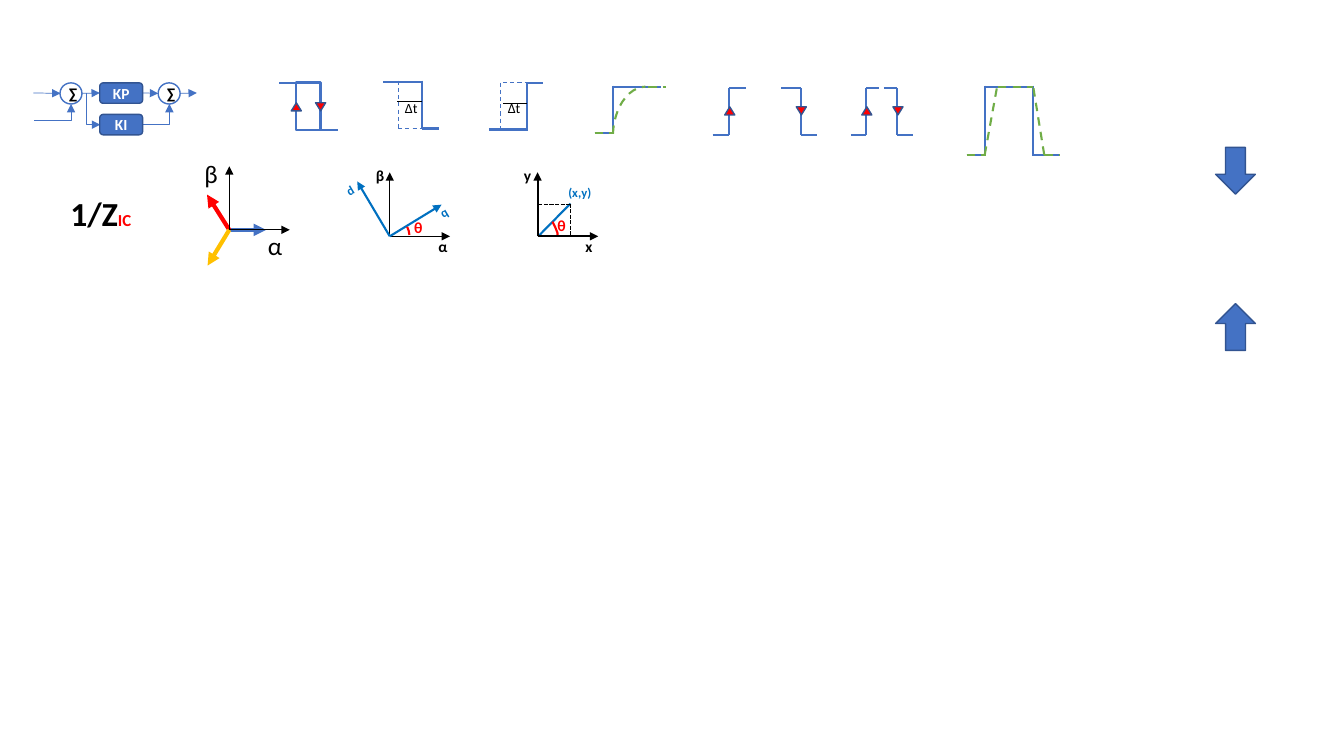
from lxml import etree
from pptx import Presentation
from pptx.dml.color import RGBColor
from pptx.enum import dml, shapes, text
from pptx.oxml import ns
from pptx.util import Pt

rgb = RGBColor.from_string
BLUE, OUTLINE, GREEN, RED, BLACK = "4472C4", "325491", "70AD47", "FF0000", "000000"
SKY, GOLD, WHITE = "0070C0", "FFC000", "FFFFFF"
DASH, SHORT_DASH = dml.MSO_LINE.DASH, dml.MSO_LINE.SQUARE_DOT
SHAPE, CONNECTOR = shapes.MSO_SHAPE, shapes.MSO_CONNECTOR

presentation = Presentation()
presentation.slide_width, presentation.slide_height = Pt(960), Pt(540)
slide = presentation.slides.add_slide(presentation.slide_layouts[6])
canvas = slide.shapes


def add_line(parent, ends, color=BLUE, width=1.5, dash=None, arrow=False, kind=CONNECTOR.STRAIGHT):
    connector = parent.add_connector(kind, *[Pt(value) for value in ends])
    connector.line.color.rgb = rgb(color)
    connector.line.width = Pt(width)
    if dash:
        connector.line.dash_style = dash
    properties = connector._element.spPr
    if arrow:
        etree.SubElement(properties.find(ns.qn("a:ln")), ns.qn("a:tailEnd"), type="triangle")
    etree.SubElement(properties, ns.qn("a:effectLst"))
    return connector


def add_label(parent, content, box, size, color=BLACK, bold=True, wrap=False, rotation=0):
    label = parent.add_textbox(*[Pt(value) for value in box])
    label.rotation = rotation
    label.text_frame.word_wrap = wrap
    label.text_frame.auto_size = text.MSO_AUTO_SIZE.SHAPE_TO_FIT_TEXT
    label.text_frame.text = content
    font = label.text_frame.paragraphs[0].runs[0].font
    font.name, font.size, font.bold = "Calibri", Pt(size), bold
    font.color.rgb = rgb(color)
    return label


# Edge symbols: left end, edge, right end, rising
edges = [
    (509, 520.8, 532.8, True),
    (558, 571.9, 583.9, False),
    (607.7, 618.7, 627.8, True),
    (631.4, 640.9, 652.3, False),
]
triangles = [(211.7, 73.4, 0), (229, 73.4, 180)]
for left, edge, right, rising in edges:
    start, end = (96.2, 63) if rising else (63, 96.2)
    add_line(canvas, (left, start, edge, start))
    add_line(canvas, (edge, end, right, end))
    add_line(canvas, (edge, 63, edge, 96.2))
    triangles.append((edge + 0.5, 76.3, 0 if rising else 180))

# Hysteresis loop
loop = canvas.add_shape(SHAPE.RECTANGLE, Pt(211.7), Pt(59), Pt(17.3), Pt(33.8))
loop.fill.background()
loop.line.color.rgb = rgb(BLUE)
loop.line.width = Pt(1.5)
loop.shadow.inherit = False
add_line(canvas, (199.4, 59, 211.7, 59))
add_line(canvas, (229, 92.9, 241.2, 92.9))

# Delay, lag and ramp waveforms
waveforms = [
    (BLUE, 1.5, None, [
        (273.6, 58.3, 301.7, 58.3), (301.7, 91.8, 313.9, 91.8), (301.7, 57.6, 301.7, 91.8),
        (376.6, 59, 388.1, 59), (349.2, 92.5, 377.3, 92.5), (376.6, 59, 376.6, 92.9),
        (437.8, 61.9, 472.3, 61.9), (424.8, 95.2, 437.8, 95.2), (437.8, 61.2, 437.8, 95.2),
        (737.3, 110.5, 756.7, 110.5), (703.4, 61.9, 738, 61.9), (690.5, 110.9, 704.2, 110.9),
        (703.4, 61.2, 703.4, 110.5), (738, 61.2, 738, 110.5)]),
    (BLUE, 0.75, DASH, [
        (284.4, 57.6, 284.4, 91.8), (284.4, 91.8, 301.7, 91.8),
        (357.8, 59, 357.8, 92.9), (359.3, 59, 376.6, 59)]),
    (BLACK, 0.5, None, [(283.7, 72.7, 301.7, 72.7), (359.3, 73.8, 376.6, 73.8)]),
    (GREEN, 1.5, DASH, [
        (463, 61.9, 475.9, 61.9), (424.8, 95.2, 437.8, 95.2),
        (745.9, 110.5, 756.7, 110.5), (712.8, 61.9, 738, 61.9), (690.5, 110.9, 704.2, 110.9),
        (703.4, 110.5, 712.1, 62.6), (745.9, 110.5, 738, 61.9)]),
]
for color, width, dash, segments in waveforms:
    for ends in segments:
        add_line(canvas, ends, color, width, dash)
for left in (282.2, 355.7):
    add_label(canvas, "∆t", (left, 67.7, 24, 19.4), 10, bold=False, wrap=True)

lag = canvas.add_shape(SHAPE.ARC, Pt(437.8), Pt(61.9), Pt(47.5), Pt(72))
lag.adjustments[0], lag.adjustments[1] = 111.27, 161.51
lag.fill.background()
lag.line.color.rgb = rgb(GREEN)
lag.line.width = Pt(1.5)
lag.line.dash_style = DASH
lag.shadow.inherit = False

# Controller wiring
for ends in [(102.2, 66.4, 113, 66.7), (58.5, 66.7, 71.3, 66.4),
             (128.9, 66.7, 140.6, 66.4), (23.8, 66.4, 43.2, 66.7)]:
    add_line(canvas, ends, width=0.5, arrow=True)
for ends, rotation in [((102.2, 89, 121, 74.3), 0), ((77.9, 72.7, 55.3, 82.8), 270),
                       ((24.5, 85.9, 50.8, 74.3), 0)]:
    elbow = add_line(canvas, ends, width=0.5, arrow=True, kind=CONNECTOR.ELBOW)
    properties = elbow._element.spPr
    properties.find(ns.qn("a:prstGeom")).set("prst", "bentConnector2")
    properties.find(ns.qn("a:xfrm")).set("rot", str(rotation * 60000))

# Filled shapes: kind, box, rotation, fill, outline, text, text colour
filled = [(SHAPE.ISOSCELES_TRIANGLE, (center - 3.6, top, 7.2, 5.8), rotation, RED, OUTLINE, "", WHITE)
          for center, top, rotation in triangles]
filled += [(SHAPE.DOWN_ARROW, (868.3, top, 28.4, 33.4), rotation, BLUE, OUTLINE, "", WHITE)
           for top, rotation in [(105.3, 0), (216.9, 180)]]
filled += [(SHAPE.ROUNDED_RECTANGLE, (71.3, top, 30.6, 14.6), 0, BLUE, OUTLINE, gain, WHITE)
           for top, gain in [(59.2, "KP"), (81.7, "KI")]]
filled += [(SHAPE.OVAL, (left, 59.2, 15.7, 15.1), 0, WHITE, BLUE, "∑", BLACK)
           for left in (113, 42.9)]
for kind, box, rotation, fill, outline, content, color in filled:
    shape = canvas.add_shape(kind, *[Pt(value) for value in box])
    shape.rotation = rotation
    shape.shadow.inherit = False
    shape.fill.solid()
    shape.fill.fore_color.rgb = rgb(fill)
    shape.line.color.rgb = rgb(outline)
    shape.line.width = Pt(1)
    if content:
        shape.text_frame.text = content
        shape.text_frame.vertical_anchor = text.MSO_ANCHOR.MIDDLE
        paragraph = shape.text_frame.paragraphs[0]
        paragraph.alignment = text.PP_ALIGN.CENTER
        font = paragraph.runs[0].font
        font.name, font.size, font.bold = "Calibri", Pt(11), True
        font.color.rgb = rgb(color)

# Unit delay
unit_delay = add_label(canvas, "1/Z", (43.2, 133.9, 58.3, 36.4), 24)
suffix = unit_delay.text_frame.paragraphs[0].add_run()
suffix.text = "IC"
suffix.font.name, suffix.font.size, suffix.font.bold = "Calibri", Pt(12), True
suffix.font.color.rgb = rgb(RED)

# Three-phase vectors on the α-β axes
phases = canvas.add_group_shape().shapes
for tip, color, width in [((190.1, 164.9), BLUE, 3), ((147.9, 139), RED, 3), ((148.3, 189.7), GOLD, 3),
                          ((207, 164.9), BLACK, 0.75), ((163.8, 118.8), BLACK, 0.5)]:
    add_line(phases, (163.8, 164.2, *tip) if tip[1] != 164.9 else (163.8, 164.2, tip[0], 164.2),
             color, width, arrow=True)
add_label(phases, "α", (184.3, 161.3, 25.2, 29.1), 18, bold=False)
add_label(phases, "β", (139, 109.4, 24.5, 29.1), 18, bold=False)

# Rotating d-q frame
rotating = canvas.add_group_shape().shapes
for tip, color, width in [((321.5, 168.8), BLACK, 0.75), ((278.4, 123.1), BLACK, 0.5),
                          ((315.4, 146.2), SKY, 1.5), ((255.2, 129.6), SKY, 1.5)]:
    add_line(rotating, (278.4, 168.8, *tip), color, width, arrow=True)
for content, box, size, color, rotation in [
        ("α", (306, 165.6, 20.9, 20.6), 11, BLACK, 0),
        ("β", (261.4, 115.2, 20.2, 20.6), 11, BLACK, 0),
        ("q", (307.4, 142.6, 19.4, 18.2), 9, SKY, 329),
        ("d", (240.5, 126.7, 19.4, 18.2), 9, SKY, 329),
        ("θ", (288.7, 152.6, 20.9, 20.6), 11, RED, 0)]:
    add_label(rotating, content, box, size, color, rotation=rotation)

# Cartesian point and its angle
cartesian = canvas.add_group_shape().shapes
add_line(cartesian, (384.5, 168.8, 407.5, 145.4), SKY)
for tip in [(427.3, 168.8), (384, 123.1)]:
    add_line(cartesian, (384, 168.8, *tip), BLACK, arrow=True)
for ends in [(384.5, 146.2, 407.5, 146.2), (407.5, 145.4, 407.5, 168.8)]:
    add_line(cartesian, ends, BLACK, 1, SHORT_DASH)
for content, box, size, color in [
        ("y", (367.2, 115.2, 20.2, 20.6), 11, BLACK),
        ("x", (411.1, 165.6, 19.4, 20.6), 11, BLACK),
        ("(x,y)", (398.9, 128.9, 31, 18.2), 9, SKY),
        ("θ", (391, 150.5, 20.2, 20.6), 11, RED)]:
    add_label(cartesian, content, box, size, color)

# Angle marks
for parent, points in [(rotating, [(290.9, 162), (292, 164.9), (292.5, 167.8)]),
                       (cartesian, [(394.6, 158.4), (396.7, 162.6), (398.2, 166.3), (398.2, 167.8)])]:
    corners = [(Pt(x), Pt(y)) for x, y in points]
    builder = parent.build_freeform(*corners[0])
    builder.add_line_segments(corners[1:], close=False)
    mark = builder.convert_to_shape()
    mark.fill.background()
    mark.line.color.rgb = rgb(RED)
    mark.line.width = Pt(1.5)
    mark.shadow.inherit = False

presentation.save("out.pptx")
